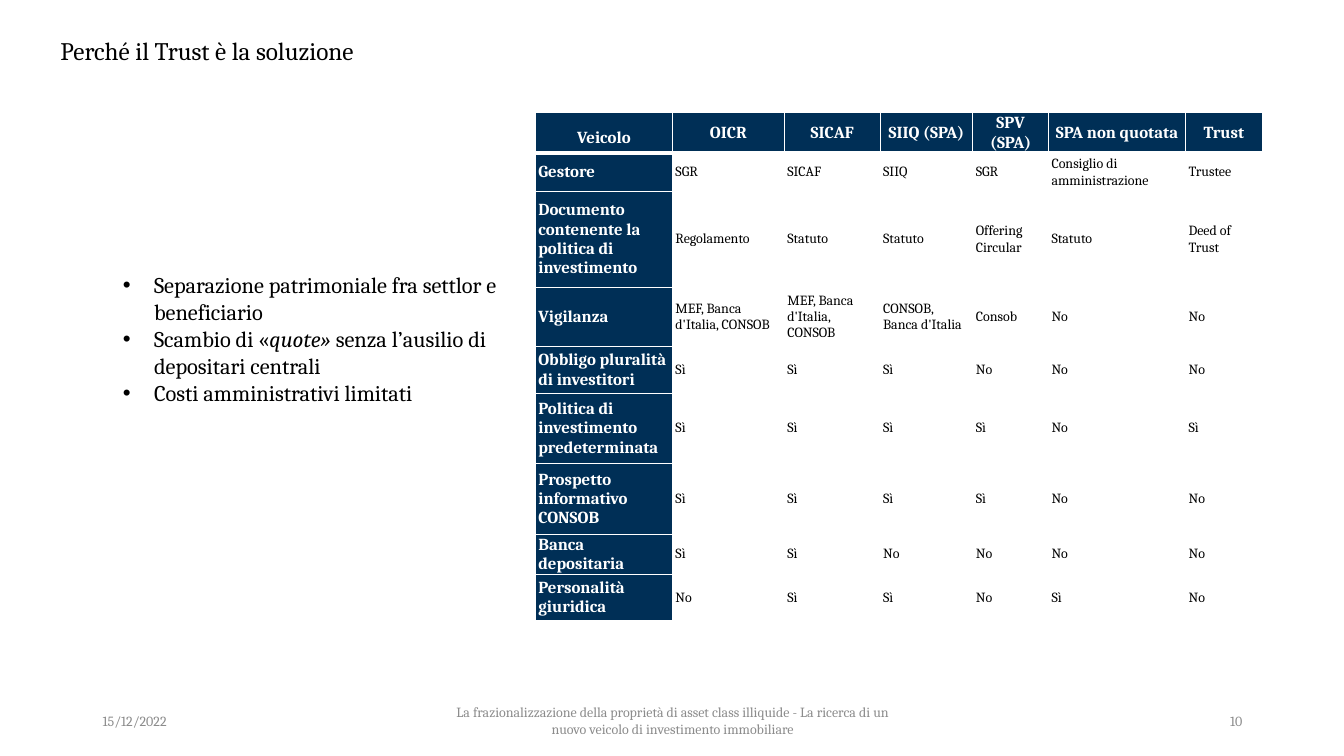
from lxml.etree import SubElement
from pptx import Presentation
from pptx.dml.color import RGBColor
from pptx.enum.text import MSO_ANCHOR, PP_ALIGN
from pptx.oxml.ns import qn
from pptx.util import Inches, Pt

# Content
TITLE = "Perché il Trust è la soluzione"
POINTS = [  # runs of (text, italic)
    [("Separazione patrimoniale fra settlor e beneficiario", False)],
    [("Scambio di «", False), ("quote»", True),
     (" senza l’ausilio di depositari centrali", False)],
    [("Costi amministrativi limitati", False)],
]
VEHICLES = [
    ("Veicolo", "OICR", "SICAF", "SIIQ (SPA)", "SPV (SPA)", "SPA non quotata", "Trust"),
    ("Gestore", "SGR", "SICAF", "SIIQ", "SGR", "Consiglio di amministrazione", "Trustee"),
    ("Documento contenente la politica di investimento", "Regolamento", "Statuto",
     "Statuto", "Offering Circular", "Statuto", "Deed of Trust"),
    ("Vigilanza", "MEF, Banca d'Italia, CONSOB", "MEF, Banca d'Italia, CONSOB",
     "CONSOB, Banca d'Italia", "Consob", "No", "No"),
    ("Obbligo pluralità di investitori", "Sì", "Sì", "Sì", "No", "No", "No"),
    ("Politica di investimento predeterminata", "Sì", "Sì", "Sì", "Sì", "No", "Sì"),
    ("Prospetto informativo CONSOB", "Sì", "Sì", "Sì", "Sì", "No", "No"),
    ("Banca depositaria", "Sì", "Sì", "No", "No", "No", "No"),
    ("Personalità giuridica", "No", "Sì", "Sì", "No", "Sì", "No"),
]
FOOT = [  # text, left, width, alignment
    ("15/12/2022", 0.92, 3, PP_ALIGN.LEFT),
    ("La frazionalizzazione della proprietà di asset class illiquide - "
     "La ricerca di un nuovo veicolo di investimento immobiliare",
     4.42, 4.5, PP_ALIGN.CENTER),
    ("10", 9.42, 3, PP_ALIGN.RIGHT),
]

# Format
COLS = [1.36, 1.11, 0.95, 0.92, 0.75, 1.36, 0.76]
ROWS = [0.22, 0.38, 0.95, 0.59, 0.46, 0.7, 0.7, 0.22, 0.46]
NAVY, WHITE, BLACK, GREY = "002F56", "FFFFFF", "000000", "8C8C8C"
HEAD = {"size": Pt(12), "bold": True}
BODY = {"size": Pt(10), "bold": False}


def paint(hue):
    return RGBColor.from_string(hue)


def write(para, text, hue, look):
    run = para.add_run()
    run.text = text
    run.font.name = "Cambria"
    run.font.color.rgb = paint(hue)
    for key, value in look.items():
        setattr(run.font, key, value)


def set_frame(shape, anchor=MSO_ANCHOR.MIDDLE):
    frame = shape.text_frame
    frame.word_wrap = True
    frame.vertical_anchor = anchor
    return frame


def add_box(slide, *area):
    return slide.shapes.add_textbox(*map(Inches, area))


def add_edge(cell, side, width):
    line = SubElement(cell._tc.get_or_add_tcPr(), qn("a:ln" + side), w=str(Pt(width)))
    fill = SubElement(line, qn("a:solidFill"))
    SubElement(fill, qn("a:srgbClr"), val=WHITE)


def add_title(slide):
    frame = set_frame(add_box(slide, 0, 0, 5.1, 1.38), MSO_ANCHOR.TOP)
    frame.margin_left = Inches(0.6)
    frame.margin_top = Inches(0.35)
    write(frame.paragraphs[0], TITLE, BLACK, {"size": Pt(18)})


def add_points(slide):
    # Clear panel that holds the list
    left, top, right, base = map(Inches, (1.12, 0.59, 5.1, 6.13))
    pen = slide.shapes.build_freeform(left, top)
    pen.add_line_segments([(right, top), (right, base), (left, base)])
    panel = pen.convert_to_shape()
    panel.shadow.inherit = False
    panel.fill.background()
    panel.line.fill.background()
    frame = set_frame(panel)
    for i, runs in enumerate(POINTS):
        para = frame.add_paragraph() if i else frame.paragraphs[0]
        para.alignment = PP_ALIGN.LEFT
        props = para._p.get_or_add_pPr()
        props.set("marL", str(Inches(0.31)))
        props.set("indent", str(-Inches(0.31)))
        SubElement(props, qn("a:buFont"), typeface="Arial")
        SubElement(props, qn("a:buChar"), char="•")
        for text, slant in runs:
            write(para, text, BLACK, {"size": Pt(16), "italic": slant})


def add_grid(slide):
    area = map(Inches, (5.31, 1.12, sum(COLS), sum(ROWS)))
    holder = slide.shapes.add_table(len(ROWS), len(COLS), *area)
    table = holder.table
    for col, width in zip(table.columns, COLS):
        col.width = Inches(width)
    for row, height in zip(table.rows, ROWS):
        row.height = Inches(height)
    holder.height = Inches(5.26)
    for r, texts in enumerate(VEHICLES):
        for c, text in enumerate(texts):
            cell = table.cell(r, c)
            label = r == 0 or c == 0
            cell.vertical_anchor = MSO_ANCHOR.MIDDLE
            cell.margin_left = cell.margin_right = Inches(0.03)
            cell.margin_top = cell.margin_bottom = 0
            # A thick rule parts the header from the body
            edges = {"L": 1, "R": 1, "T": 3 if r == 1 else 1, "B": 1 if r else 3}
            for side, width in edges.items():
                add_edge(cell, side, width)
            if label:
                cell.fill.solid()
                cell.fill.fore_color.rgb = paint(NAVY)
            else:
                cell.fill.background()
            para = cell.text_frame.paragraphs[0]
            para.space_after = Pt(8)
            para.alignment = PP_ALIGN.LEFT if r else PP_ALIGN.CENTER
            write(para, text, WHITE if label else BLACK, HEAD if label else BODY)
    table.cell(0, 0).text_frame.paragraphs[0].line_spacing = 1.5


def add_foot(slide):
    for text, left, width, align in FOOT:
        para = set_frame(add_box(slide, left, 6.95, width, 0.4)).paragraphs[0]
        para.alignment = align
        write(para, text, GREY, {"size": Pt(10)})


def main():
    deck = Presentation()
    deck.slide_width, deck.slide_height = Inches(13.33), Inches(7.5)
    slide = deck.slides.add_slide(deck.slide_layouts[6])
    for part in (add_foot, add_points, add_title, add_grid):
        part(slide)
    deck.save("out.pptx")


if __name__ == "__main__":
    main()
